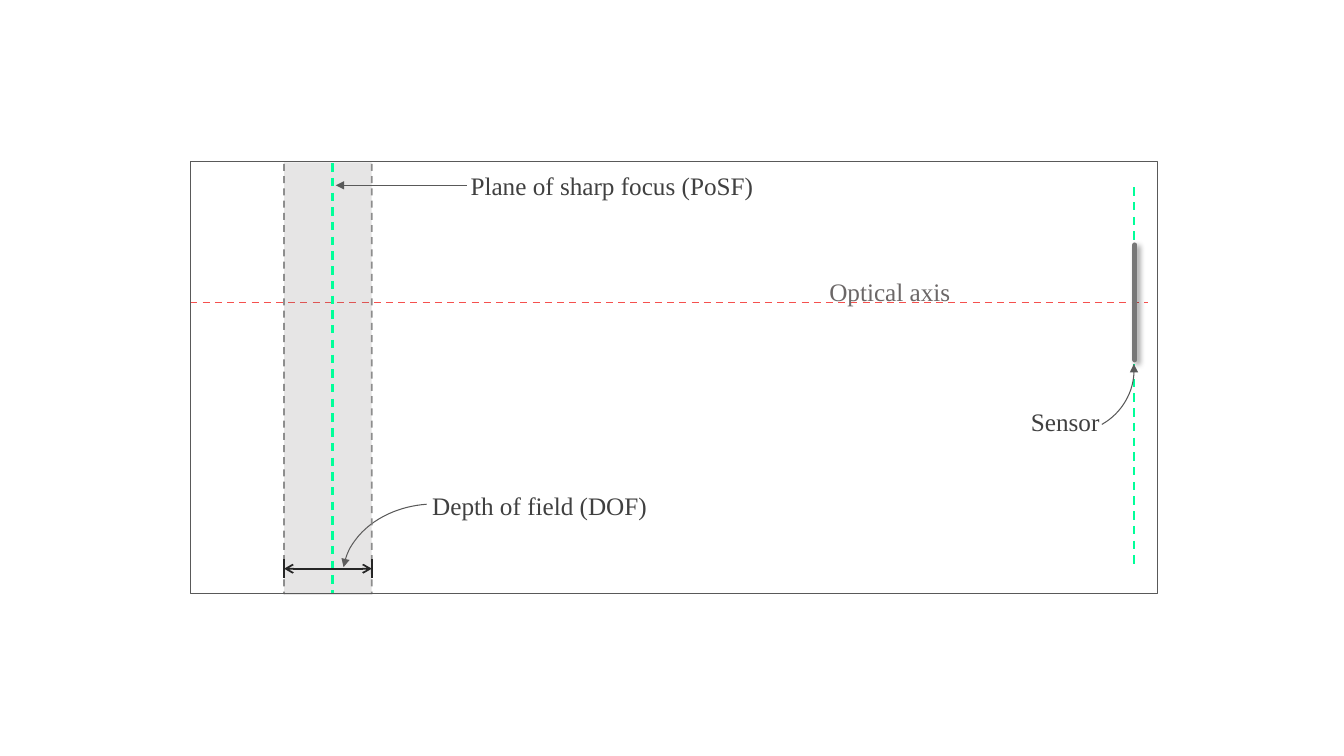
from lxml import etree
from pptx import Presentation
from pptx.dml.color import RGBColor
from pptx.enum.dml import MSO_LINE
from pptx.enum.shapes import MSO_CONNECTOR, MSO_SHAPE
from pptx.enum.text import MSO_AUTO_SIZE, PP_ALIGN
from pptx.oxml.ns import qn
from pptx.util import Cm, Pt

STRAIGHT = MSO_CONNECTOR.STRAIGHT
ARC, RECTANGLE = MSO_SHAPE.ARC, MSO_SHAPE.RECTANGLE
DASH = MSO_LINE.DASH
FIT = MSO_AUTO_SIZE.SHAPE_TO_FIT_TEXT
LEFT, CENTER = PP_ALIGN.LEFT, PP_ALIGN.CENTER

FONT = "Times New Roman"
COLORS = {
    "pointer": "595959", "axis": "F5504E", "field": "767171",
    "plane": "00FF99", "sensor": "777777", "limit": "808080",
    "measure": "262626", "label": "404040", "axis label": "6B6767",
    "shadow": "000000",
}

FRAME = (4.8, 4.06, 24.36, 10.9)
FIELD = (7.16, 4.09, 2.21, 10.9)
FIELD_LEFT, FIELD_RIGHT = FIELD[0], FIELD[0] + FIELD[2]
MEASURE_Y, TICK = 14.33, 0.24
LABEL_HEIGHT = 1.02

LABELS = [
    ("Optical axis", 20.65, 6.83, 3.91, "axis label", LEFT),
    ("Plane of sharp focus (PoSF)", 11.61, 4.17, 7.75, "label", LEFT),
    ("Depth of field (DOF)", 10.49, 12.22, 6.22, "label", CENTER),
    ("Sensor", 25.55, 10.11, 2.59, "label", CENTER),
]
FIELD_POINTER = ((8.64, 12.7, 4.65, 3.66), (185.88, 263.34))
SENSOR_POINTER = ((25.4, 7.72, 3.18, 3.18), (355.12, 60.69))

prs = Presentation()
prs.slide_width, prs.slide_height = Cm(33.87), Cm(19.05)
slide = prs.slides.add_slide(prs.slide_layouts[6])
shapes = slide.shapes


def rgb(name):
    return RGBColor.from_string(COLORS[name])


def add_alpha(parent, percent):
    color = next(parent.iter(qn("a:srgbClr")))
    etree.SubElement(color, qn("a:alpha"), val=str(percent * 1000))


def style_line(line, color, width, dash=None, head=None, tail=None, alpha=None):
    line.color.rgb = rgb(color)
    line.width = Pt(width)
    if dash:
        line.dash_style = dash
    ln = line._get_or_add_ln()
    if alpha:
        add_alpha(ln, alpha)
    for end, kind in (("a:headEnd", head), ("a:tailEnd", tail)):
        if kind:
            etree.SubElement(ln, qn(end), type=kind)


def add_line(x1, y1, x2, y2, color, width, **ends):
    connector = shapes.add_connector(STRAIGHT, Cm(x1), Cm(y1), Cm(x2), Cm(y2))
    style_line(connector.line, color, width, **ends)
    effects = etree.SubElement(connector._element.spPr, qn("a:effectLst"))
    return connector, effects


def add_outline(kind, box):
    shape = shapes.add_shape(kind, *map(Cm, box))
    shape.shadow.inherit = False
    shape.fill.background()
    return shape


def add_curved_pointer(box, angles):
    arc = add_outline(ARC, box)
    for i, degrees in enumerate(angles):
        arc.adjustments[i] = degrees * 0.6
    style_line(arc.line, "pointer", 0.75, head="triangle")


def add_text(text, x, y, width, color="label", align=LEFT, size=18):
    frame = shapes.add_textbox(Cm(x), Cm(y), Cm(width), Cm(LABEL_HEIGHT)).text_frame
    frame.word_wrap = True
    frame.auto_size = FIT
    paragraph = frame.paragraphs[0]
    paragraph.alignment = align
    run = paragraph.add_run()
    run.text = text
    run.font.name, run.font.size = FONT, Pt(size)
    run.font.color.rgb = rgb(color)


add_curved_pointer(*FIELD_POINTER)
add_line(FRAME[0], 7.62, 28.93, 7.62, "axis", 1.25, dash=DASH)

field = add_outline(RECTANGLE, FIELD)
field.fill.solid()
field.fill.fore_color.rgb = rgb("field")
add_alpha(field._element.spPr, 18)
field.line.fill.background()

for x, top, bottom in ((8.38, 4.11, 14.96), (28.58, 4.72, 14.22)):
    add_line(x, top, x, bottom, "plane", 1.5, dash=DASH)

sensor, sensor_effects = add_line(28.6, 6.17, 28.6, 9.07, "sensor", 3.5)
sensor.line._get_or_add_ln().set("cap", "rnd")
shadow = etree.SubElement(
    sensor_effects, qn("a:outerShdw"), blurRad=str(Pt(4)), dist=str(Pt(3)),
    dir="2700000", algn="tl", rotWithShape="0")
etree.SubElement(shadow, qn("a:srgbClr"), val=COLORS["shadow"])
add_alpha(shadow, 40)

for text, x, y, width, color, align in LABELS:
    add_text(text, x, y, width, color=color, align=align)

add_curved_pointer(*SENSOR_POINTER)
for x in (FIELD_RIGHT, FIELD_LEFT):
    add_line(x, 4.13, x, 14.97, "limit", 1.25, dash=DASH, alpha=88)
    add_line(x, MEASURE_Y - TICK, x, MEASURE_Y + TICK, "measure", 1.25)
add_line(FIELD_LEFT, MEASURE_Y, FIELD_RIGHT, MEASURE_Y, "measure", 1.25,
         head="arrow", tail="arrow")

border = add_outline(RECTANGLE, FRAME)
style_line(border.line, "pointer", 0.5)
add_line(11.76, 4.67, 8.46, 4.67, "pointer", 0.75, tail="triangle")

prs.save("out.pptx")
